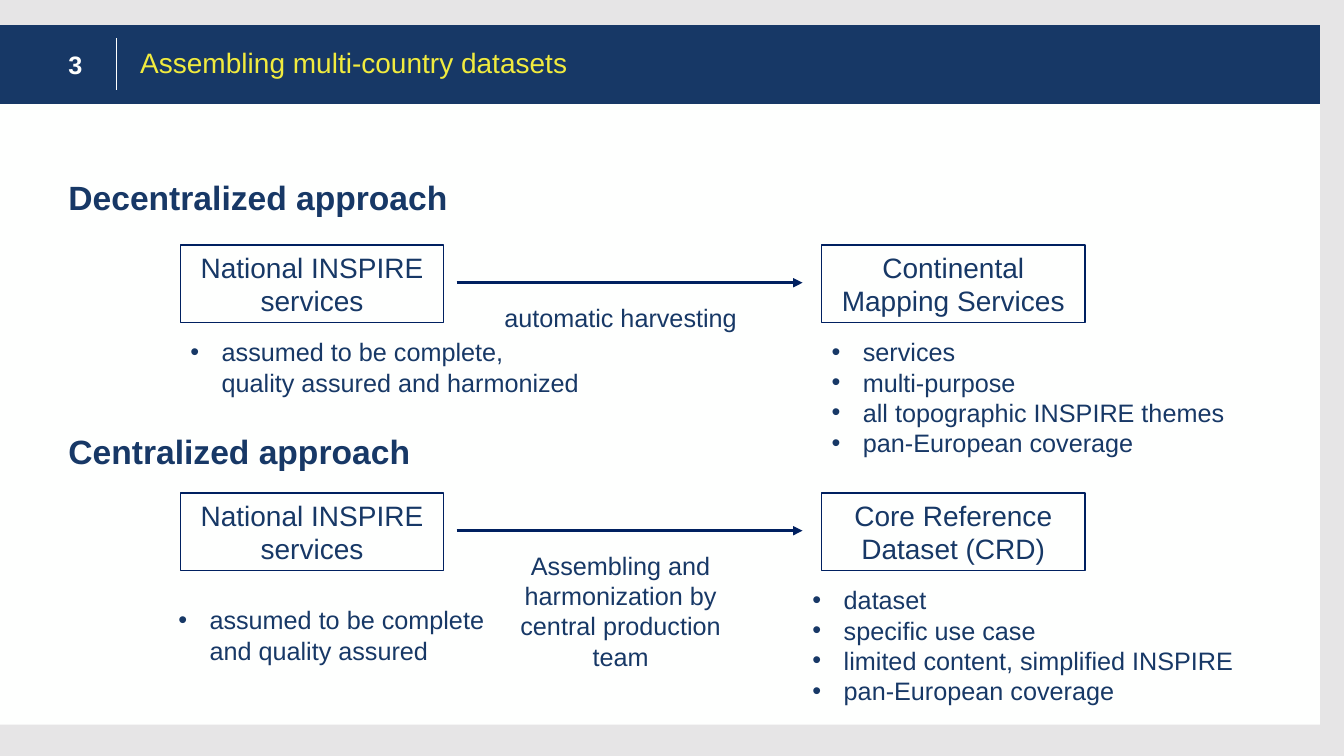
from dataclasses import dataclass

from lxml import etree
from pptx import Presentation
from pptx.dml.color import RGBColor
from pptx.enum.shapes import MSO_CONNECTOR, MSO_SHAPE
from pptx.enum.text import MSO_ANCHOR, MSO_AUTO_SIZE, PP_ALIGN
from pptx.oxml.ns import qn
from pptx.util import Inches, Pt

RECTANGLE = MSO_SHAPE.RECTANGLE
STRAIGHT = MSO_CONNECTOR.STRAIGHT
LEFT, CENTER = PP_ALIGN.LEFT, PP_ALIGN.CENTER
TOP, MIDDLE = MSO_ANCHOR.TOP, MSO_ANCHOR.MIDDLE
NO_AUTOSIZE = MSO_AUTO_SIZE.NONE


@dataclass(frozen=True)
class Theme:
    font: str = "Arial"
    backdrop: RGBColor = RGBColor(0xE6, 0xE5, 0xE6)
    paper: RGBColor = RGBColor(0xFE, 0xFF, 0xFE)
    navy: RGBColor = RGBColor(0x17, 0x38, 0x66)
    outline: RGBColor = RGBColor(0x00, 0x20, 0x60)
    yellow: RGBColor = RGBColor(0xF1, 0xEB, 0x3E)
    heading: Pt = Pt(24)
    label: Pt = Pt(20)
    body: Pt = Pt(18)


THEME = Theme()


def write(shape, lines, size, color=THEME.navy, bold=False, align=LEFT,
          anchor=TOP, spacing=None, bullets=False):
    frame = shape.text_frame
    frame.text = "\n".join(lines)
    frame.word_wrap = True
    frame.auto_size = NO_AUTOSIZE
    frame.vertical_anchor = anchor
    for paragraph in frame.paragraphs:
        paragraph.alignment = align
        if spacing:
            paragraph.line_spacing = spacing
            paragraph.space_before = Pt(0)
        if bullets:
            properties = paragraph._p.get_or_add_pPr()
            properties.set("marL", str(Inches(0.31)))
            properties.set("indent", str(-Inches(0.31)))
            etree.SubElement(properties, qn("a:buFont")).set("typeface", THEME.font)
            etree.SubElement(properties, qn("a:buChar")).set("char", "•")
        for run in paragraph.runs:
            run.font.name = THEME.font
            run.font.size = size
            run.font.bold = bold
            run.font.color.rgb = color


def draw_line(start_x, start_y, end_x, end_y, color, width):
    line = slide.shapes.add_connector(
        STRAIGHT, Inches(start_x), Inches(start_y), Inches(end_x), Inches(end_y))
    line.line.color.rgb = color
    line.line.width = width
    etree.SubElement(line._element.spPr, qn("a:effectLst"))
    return line


deck = Presentation()
deck.slide_width, deck.slide_height = Inches(13.33), Inches(7.5)
slide = deck.slides.add_slide(deck.slide_layouts[5])
slide.background.fill.solid()
slide.background.fill.fore_color.rgb = THEME.backdrop

for height, color in ((6.94, THEME.paper), (0.78, THEME.navy)):
    panel = slide.shapes.add_shape(
        RECTANGLE, Inches(0), Inches(0.25), Inches(13.09), Inches(height))
    panel.shadow.inherit = False
    panel.fill.solid()
    panel.fill.fore_color.rgb = color
    panel.line.fill.background()

draw_line(1.15, 0.38, 1.15, 0.89, THEME.paper, Pt(0.5))

page_number = slide.shapes.add_textbox(
    Inches(0.58), Inches(0.44), Inches(0.53), Inches(0.4))
write(page_number, ["3"], THEME.body, THEME.paper, bold=True, anchor=MIDDLE)

title = slide.shapes.title
title.left, title.top = Inches(1.29), Inches(0.44)
title.width, title.height = Inches(4.95), Inches(0.42)
write(title, ["Assembling multi-country datasets"], THEME.label, THEME.yellow,
      spacing=0.9)
slide.shapes._spTree.append(title._element)

approaches = [
    {
        "heading": ("Decentralized approach", 1.75),
        "boxes_top": 2.43,
        "target": "Continental Mapping Services",
        "process": ("automatic harvesting", 0.4),
        "lists": [
            (8.15, 3.29, 4.26, 1.62,
             ["services", "multi-purpose", "all topographic INSPIRE themes",
              "pan-European coverage"]),
            (1.79, 3.29, 4.09, 1.01,
             ["assumed to be complete, quality assured and harmonized"]),
        ],
    },
    {
        "heading": ("Centralized approach", 4.27),
        "boxes_top": 4.89,
        "target": "Core Reference Dataset (CRD)",
        "process": ("Assembling and harmonization by central production team", 1.31),
        "lists": [
            (7.96, 5.75, 4.45, 1.62,
             ["dataset", "specific use case", "limited content, simplified INSPIRE",
              "pan-European coverage"]),
            (1.67, 5.95, 3.3, 1.01,
             ["assumed to be complete and quality assured"]),
        ],
    },
]

for approach in approaches:
    heading_text, heading_top = approach["heading"]
    heading = slide.shapes.add_textbox(
        Inches(0.58), Inches(heading_top), Inches(11.84), Inches(0.51))
    write(heading, [heading_text], THEME.heading, bold=True, spacing=0.9)

    boxes_top = approach["boxes_top"]
    for left, name in ((1.79, "National INSPIRE services"), (8.15, approach["target"])):
        service = slide.shapes.add_shape(
            RECTANGLE, Inches(left), Inches(boxes_top), Inches(2.61), Inches(0.77))
        service.shadow.inherit = False
        service.fill.background()
        service.line.color.rgb = THEME.outline
        service.line.width = Pt(1)
        write(service, [name], THEME.label, align=CENTER, anchor=MIDDLE)

    arrow_y = boxes_top + 0.375
    arrow = draw_line(4.53, arrow_y, 7.96, arrow_y, THEME.outline, Pt(2.25))
    etree.SubElement(arrow.line._get_or_add_ln(), qn("a:tailEnd")).set("type", "triangle")

    process_text, process_height = approach["process"]
    process = slide.shapes.add_textbox(
        Inches(4.85), Inches(boxes_top + 0.52), Inches(2.61), Inches(process_height))
    write(process, [process_text], THEME.body, align=CENTER)

    for left, top, width, height, points in approach["lists"]:
        traits = slide.shapes.add_textbox(
            Inches(left), Inches(top), Inches(width), Inches(height))
        write(traits, points, THEME.body, bullets=True)

deck.save("out.pptx")
